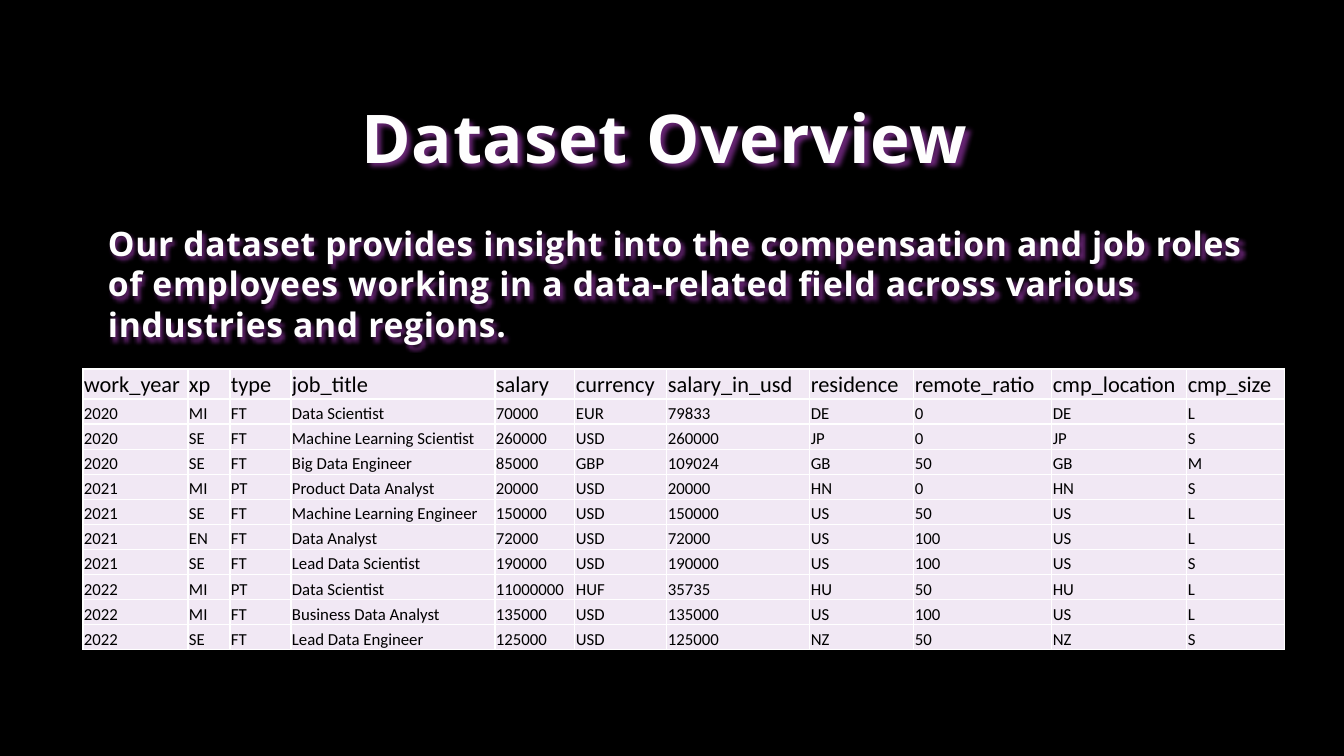
from lxml.etree import SubElement
from pptx import Presentation
from pptx.dml.color import RGBColor
from pptx.enum.text import MSO_ANCHOR, MSO_AUTO_SIZE, PP_ALIGN
from pptx.oxml import parse_xml
from pptx.oxml.ns import nsdecls, qn
from pptx.util import Pt

BLACK = RGBColor(0x00, 0x00, 0x00)
WHITE = RGBColor(0xFF, 0xFF, 0xFF)
OFF_WHITE = RGBColor(0xFE, 0xFE, 0xFE)
PURPLE = RGBColor(0xAC, 0x3E, 0xC1)
LILAC = RGBColor(0xF1, 0xE8, 0xF4)

SLIDE_W, SLIDE_H = 1344, 756
EMU_PER_PX = 914400 / 100.8

TITLE = "Dataset Overview"
SUMMARY = ("Our dataset provides insight into the compensation and job roles of "
           "employees working in a data-related field across various industries "
           "and regions.")
COLUMNS = [("work_year", 105), ("xp", 42), ("type", 61), ("job_title", 204),
           ("salary", 80), ("currency", 92), ("salary_in_usd", 143),
           ("residence", 104), ("remote_ratio", 138), ("cmp_location", 135),
           ("cmp_size", 98)]
# The company location equals the residence in every record.
RECORDS = [
    ("2020", "MI", "FT", "Data Scientist", "70000", "EUR", "79833", "DE", "0", "L"),
    ("2020", "SE", "FT", "Machine Learning Scientist", "260000", "USD", "260000", "JP", "0", "S"),
    ("2020", "SE", "FT", "Big Data Engineer", "85000", "GBP", "109024", "GB", "50", "M"),
    ("2021", "MI", "PT", "Product Data Analyst", "20000", "USD", "20000", "HN", "0", "S"),
    ("2021", "SE", "FT", "Machine Learning Engineer", "150000", "USD", "150000", "US", "50", "L"),
    ("2021", "EN", "FT", "Data Analyst", "72000", "USD", "72000", "US", "100", "L"),
    ("2021", "SE", "FT", "Lead Data Scientist", "190000", "USD", "190000", "US", "100", "S"),
    ("2022", "MI", "PT", "Data Scientist", "11000000", "HUF", "35735", "HU", "50", "L"),
    ("2022", "MI", "FT", "Business Data Analyst", "135000", "USD", "135000", "US", "100", "L"),
    ("2022", "SE", "FT", "Lead Data Engineer", "125000", "USD", "125000", "NZ", "50", "S"),
]


def px(length):
    return round(length * EMU_PER_PX)


def add_run(paragraph, text, font_name, size, color, bold=False):
    run = paragraph.add_run()
    run.text = text
    font = run.font
    font.name, font.size, font.bold = font_name, Pt(size), bold
    font.color.rgb = color
    return run


def add_text_shadow(shape):
    """Cast a soft purple shadow; an unfilled shape passes it to its text."""
    shape._element.spPr.append(parse_xml(
        f'<a:effectLst {nsdecls("a")}>'
        f'<a:outerShdw blurRad="{px(4)}" dist="{px(4)}" dir="2700000" algn="tl" rotWithShape="0">'
        f'<a:srgbClr val="{PURPLE}"><a:alpha val="60000"/></a:srgbClr>'
        '</a:outerShdw></a:effectLst>'))


def write_heading(shape, box, text, size, align):
    """Fill a shape with outlined, letter-spaced bold text."""
    shape.left, shape.top, shape.width, shape.height = map(px, box)
    frame = shape.text_frame
    frame.word_wrap = True
    frame.auto_size = MSO_AUTO_SIZE.SHAPE_TO_FIT_TEXT
    frame.vertical_anchor = MSO_ANCHOR.TOP
    paragraph = frame.paragraphs[0]
    paragraph.alignment = align
    paragraph.line_spacing = 1.0
    run = add_run(paragraph, text, "Open Sans", size, OFF_WHITE, bold=True)
    properties = run.font._element
    properties.set("spc", "50")
    properties.insert(0, parse_xml(
        f'<a:ln {nsdecls("a")} w="{Pt(0.75)}"><a:solidFill>'
        f'<a:srgbClr val="{PURPLE}"/></a:solidFill></a:ln>'))
    add_text_shadow(shape)


def style_cell(cell):
    cell.vertical_anchor = MSO_ANCHOR.BOTTOM
    cell.margin_left = cell.margin_right = cell.margin_top = px(1)
    cell.margin_bottom = 0
    properties = cell._tc.get_or_add_tcPr()
    for side in ("lnL", "lnR", "lnT", "lnB"):
        border = SubElement(properties, qn(f"a:{side}"), w=str(Pt(1)))
        fill = SubElement(border, qn("a:solidFill"))
        SubElement(fill, qn("a:srgbClr"), val=str(WHITE))
    cell.fill.solid()
    cell.fill.fore_color.rgb = LILAC


def add_records_table(slide, box, header_height):
    left, top, width, height = box
    table = slide.shapes.add_table(len(RECORDS) + 1, len(COLUMNS),
                                   px(left), px(top), px(width), px(height)).table
    for column, (_, column_width) in zip(table.columns, COLUMNS):
        column.width = px(column_width)
    for row in table.rows:
        row.height = px((height - header_height) / len(RECORDS))
    table.rows[0].height = px(header_height)

    header = [name for name, _ in COLUMNS]
    body = [(*record[:9], record[7], record[9]) for record in RECORDS]
    for r, values in enumerate([header, *body]):
        for c, value in enumerate(values):
            cell = table.cell(r, c)
            style_cell(cell)
            add_run(cell.text_frame.paragraphs[0], value, "Calibri",
                    12 if r else 16, BLACK)


def build_overview_slide(prs):
    slide = prs.slides.add_slide(prs.slide_layouts[5])
    slide.background.fill.solid()
    slide.background.fill.fore_color.rgb = BLACK
    write_heading(slide.shapes.title, (117, 91, 1096, 92), TITLE, 48, PP_ALIGN.CENTER)
    summary = slide.shapes.add_textbox(0, 0, 0, 0)
    write_heading(summary, (98, 218, 1187, 92), SUMMARY, 24, PP_ALIGN.LEFT)
    table_width = sum(width for _, width in COLUMNS)
    add_records_table(slide, (83, 369, table_width, 281), header_height=30)


def main():
    prs = Presentation()
    prs.slide_width, prs.slide_height = px(SLIDE_W), px(SLIDE_H)
    build_overview_slide(prs)
    prs.save("out.pptx")


if __name__ == "__main__":
    main()
